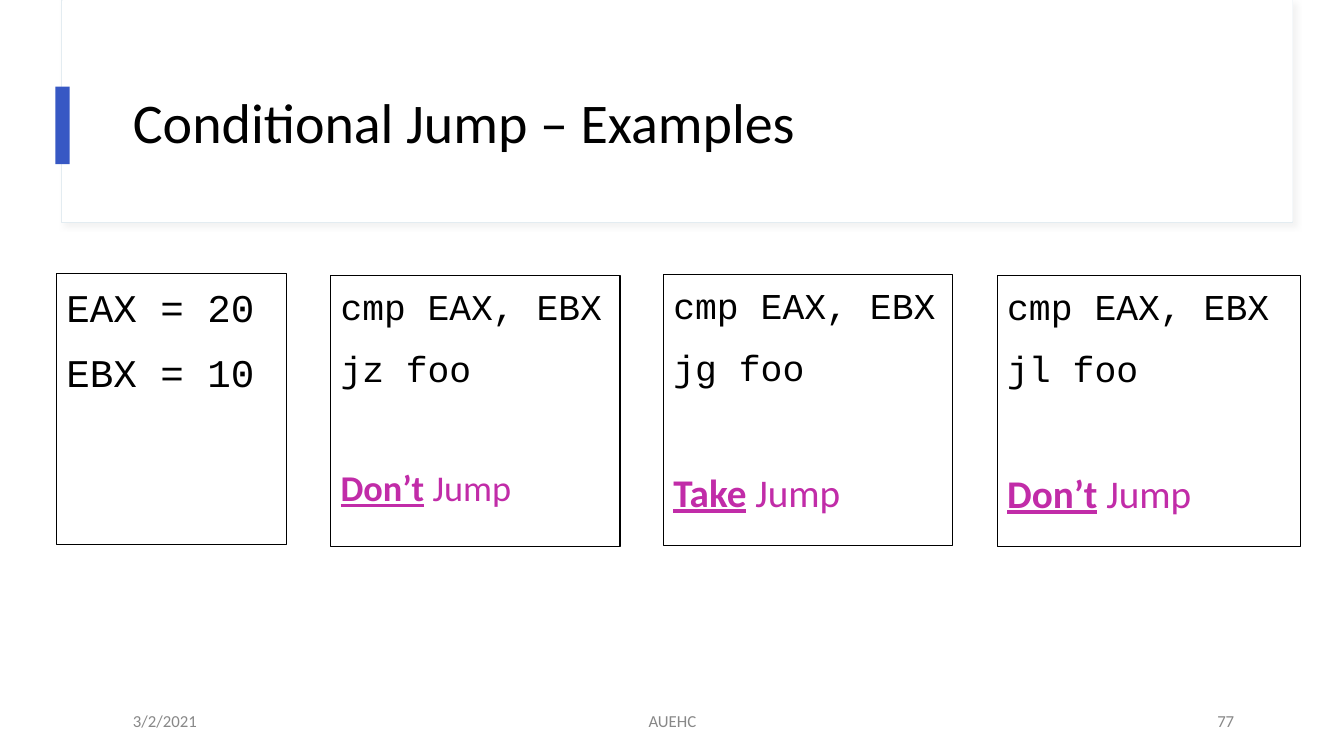
from dataclasses import dataclass
from typing import Optional

from lxml.etree import SubElement
from pptx import Presentation
from pptx.dml.color import RGBColor as RGB
from pptx.enum.shapes import MSO_SHAPE as SHAPE
from pptx.enum.text import MSO_ANCHOR as ANCHOR, PP_ALIGN as ALIGN
from pptx.oxml.ns import qn
from pptx.util import Inches, Pt


@dataclass(frozen=True)
class Theme:
    text: str = "000000"
    panel: str = "FFFFFF"
    panel_edge: str = "E3ECF1"
    shadow: str = "D8D8D8"
    accent: str = "3758C4"
    verdict: str = "C12CA8"
    footer: str = "888888"
    body_font: str = "Calibri"
    code_font: str = "Courier New"
    title_size: float = 40
    footer_size: float = 12


@dataclass(frozen=True)
class Rect:
    left: float
    top: float
    width: float
    height: float

    def lengths(self) -> tuple:
        return tuple(Inches(v) for v in (self.left, self.top, self.width, self.height))


@dataclass(frozen=True)
class CodeBox:
    at: Rect
    lines: tuple
    size: float
    verdict: Optional[str] = None
    verdict_size: float = 28
    verdict_gap: float = 53


@dataclass(frozen=True)
class Label:
    at: Rect
    text: str
    size: float
    color: str
    align: ALIGN = ALIGN.LEFT
    spacing: float = 1.0


THEME = Theme()
BOX_HEIGHT = 2.69

PANEL = Rect(0.61, 0, 12.21, 2.21)
PANEL_FACE = Rect(0.62, 0, 12.2, 2.2)
ACCENT_BAR = Rect(0.55, 0.86, 0.14, 0.77)

CODE_BOXES = (
    CodeBox(Rect(0.56, 2.71, 2.28, BOX_HEIGHT), ("EAX = 20", "EBX = 10"), 28),
    CodeBox(Rect(3.28, 2.73, 2.87, BOX_HEIGHT), ("cmp EAX, EBX", "jz foo"), 25.9,
            "Don’t", 25.9, 51),
    CodeBox(Rect(6.58, 2.72, 2.87, BOX_HEIGHT), ("cmp EAX, EBX", "jg foo"), 26, "Take"),
    CodeBox(Rect(9.89, 2.73, 3.01, BOX_HEIGHT), ("cmp EAX, EBX", "jl foo"), 26, "Don’t"),
)

LABELS = (
    Label(Rect(1.22, 0.6, 11.12, 1.29), "Conditional Jump – Examples",
          THEME.title_size, THEME.text, spacing=0.9),
    Label(Rect(1.22, 6.95, 3, 0.4), "3/2/2021", THEME.footer_size, THEME.footer),
    Label(Rect(4.42, 6.95, 4.5, 0.4), "AUEHC", THEME.footer_size, THEME.footer, ALIGN.CENTER),
    Label(Rect(9.34, 6.95, 3, 0.4), "77", THEME.footer_size, THEME.footer, ALIGN.RIGHT),
)


def add_rect(s, at: Rect, fill: Optional[str] = None, line: Optional[str] = None):
    sp = s.shapes.add_shape(SHAPE.RECTANGLE, *at.lengths())
    sp.shadow.inherit = False
    if fill:
        sp.fill.solid()
        sp.fill.fore_color.rgb = RGB.from_string(fill)
    else:
        sp.fill.background()
    if line:
        sp.line.color.rgb = RGB.from_string(line)
        sp.line.width = Pt(0.75)
    else:
        sp.line.fill.background()
    return sp


def add_shadow(sp) -> None:
    effects = sp._element.spPr.find(qn("a:effectLst"))
    shadow = SubElement(effects, qn("a:outerShdw"), blurRad=str(Pt(4)), dist=str(Pt(3)),
                        dir=str(45 * 60000), algn="tl", rotWithShape="0")
    color = SubElement(shadow, qn("a:srgbClr"), val=THEME.shadow)
    SubElement(color, qn("a:alpha"), val="30000")


def style(r, font: str, size: float, color: str, strong: bool = False) -> None:
    r.font.name = font
    r.font.size = Pt(size)
    r.font.color.rgb = RGB.from_string(color)
    r.font.bold = strong
    r.font.underline = strong


def add_code_box(s, box: CodeBox) -> None:
    tf = add_rect(s, box.at, line=THEME.text).text_frame
    tf.word_wrap = True
    tf.vertical_anchor = ANCHOR.TOP
    tf.text = "\n".join(box.lines)
    for p in tf.paragraphs:
        style(p.runs[0], THEME.code_font, box.size, THEME.text)
    if box.verdict:
        p = tf.add_paragraph()
        for text, strong in ((box.verdict, True), (" Jump", False)):
            r = p.add_run()
            r.text = text
            style(r, THEME.body_font, box.verdict_size, THEME.verdict, strong)
    for i, p in enumerate(tf.paragraphs):
        p.alignment = ALIGN.LEFT
        p.line_spacing = 1.1
        if i:
            p.space_before = Pt(10 if i < len(box.lines) else box.verdict_gap)


def add_label(s, label: Label) -> None:
    tf = s.shapes.add_textbox(*label.at.lengths()).text_frame
    tf.word_wrap = True
    tf.vertical_anchor = ANCHOR.MIDDLE
    tf.text = label.text
    p = tf.paragraphs[0]
    p.alignment = label.align
    p.line_spacing = label.spacing
    style(p.runs[0], THEME.body_font, label.size, label.color)


def main() -> None:
    prs = Presentation()
    prs.slide_width, prs.slide_height = Inches(13.33), Inches(7.5)
    s = prs.slides.add_slide(prs.slide_layouts[6])
    add_shadow(add_rect(s, PANEL, THEME.panel, THEME.panel_edge))
    add_rect(s, PANEL_FACE, THEME.panel)
    add_rect(s, ACCENT_BAR, THEME.accent)
    for box in CODE_BOXES:
        add_code_box(s, box)
    for label in LABELS:
        add_label(s, label)
    prs.save("out.pptx")


if __name__ == "__main__":
    main()
